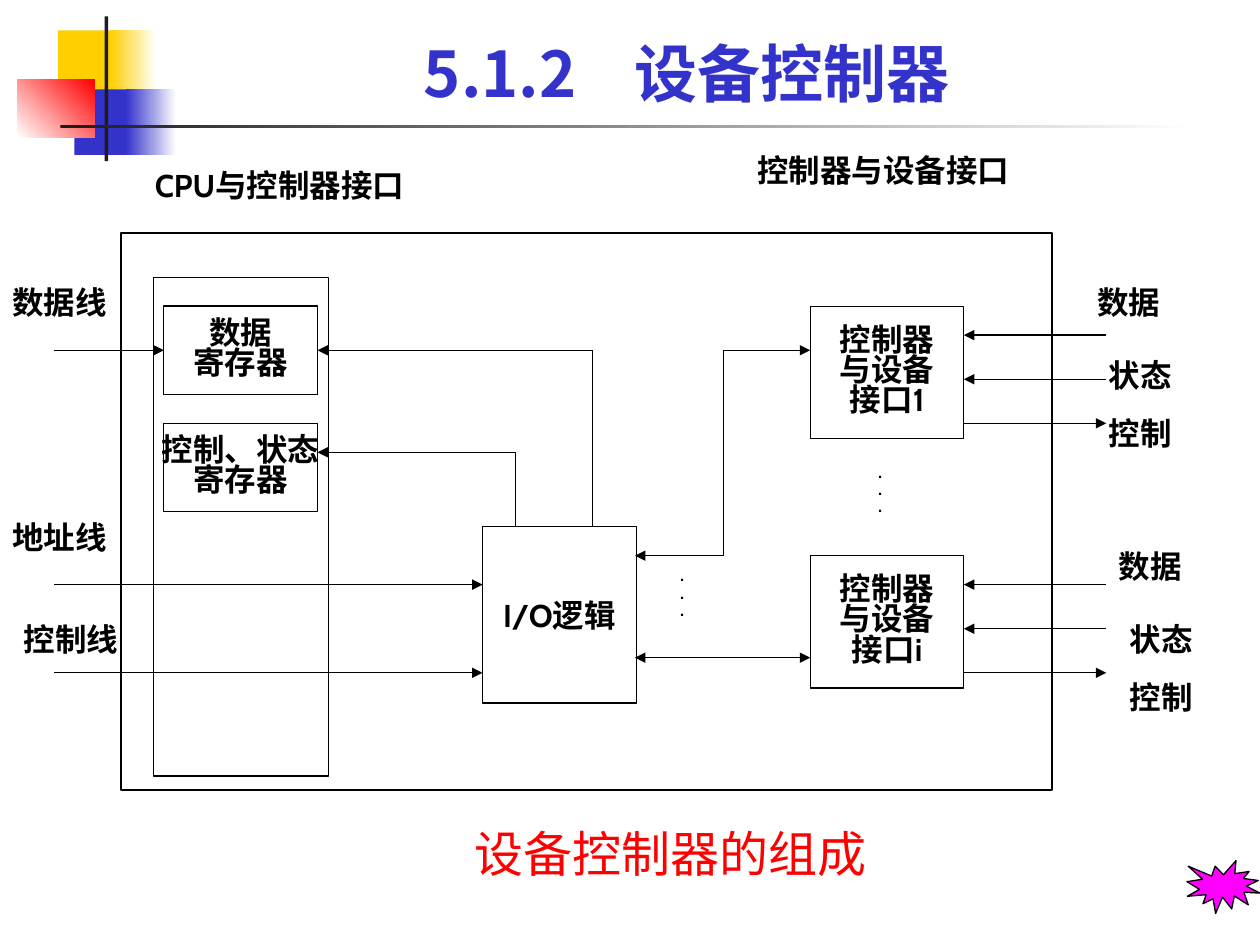
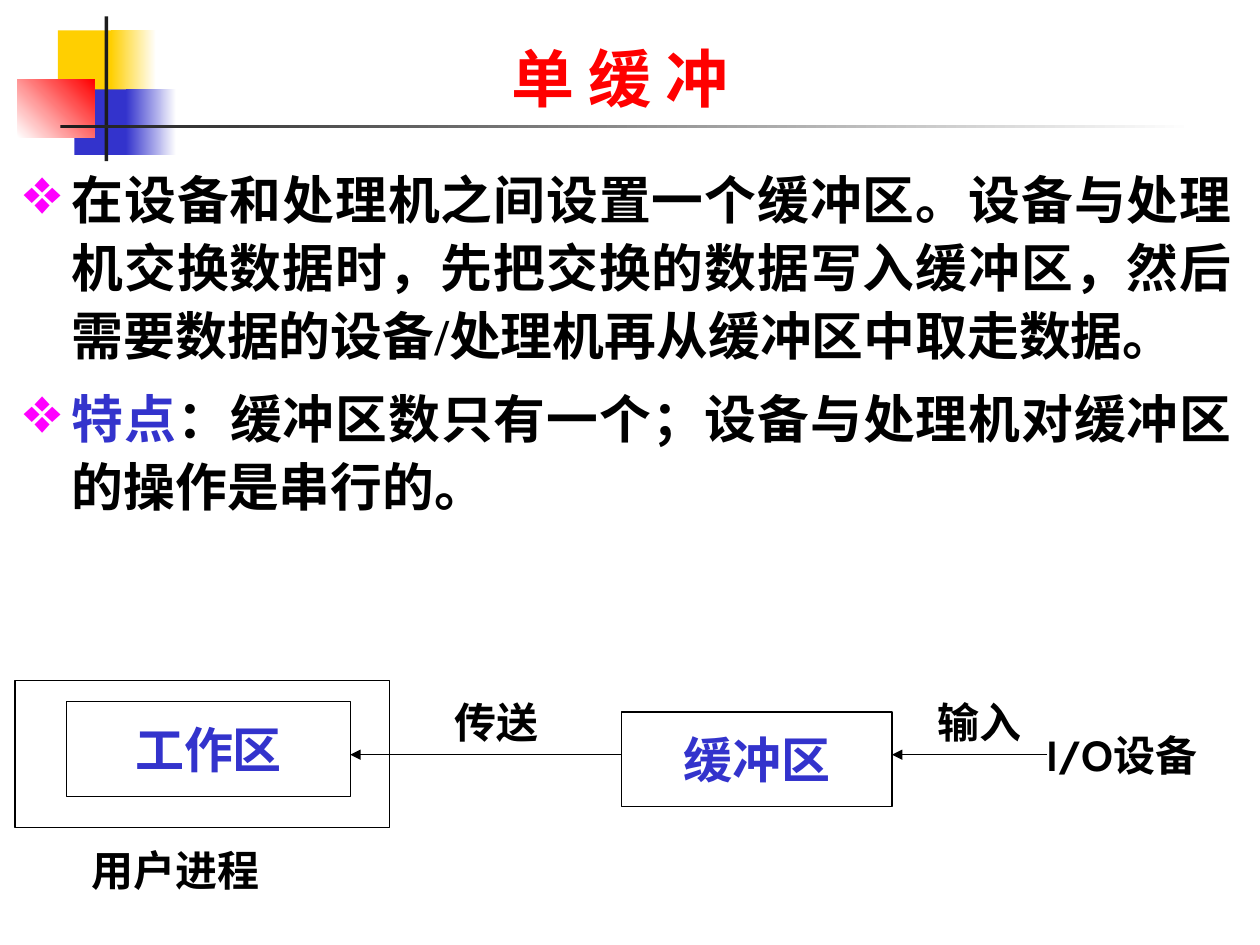
"""Build two slides on device controllers and single buffering."""
from dataclasses import dataclass

from lxml import etree
from pptx import Presentation
from pptx.dml.color import RGBColor
from pptx.enum.shapes import MSO_CONNECTOR, MSO_SHAPE
from pptx.enum.text import MSO_ANCHOR, PP_ALIGN
from pptx.oxml.ns import qn
from pptx.util import Inches, Pt

RECT, BURST = MSO_SHAPE.RECTANGLE, MSO_SHAPE.EXPLOSION1
STRAIGHT = MSO_CONNECTOR.STRAIGHT
LEFT, CENTER, JUSTIFY = PP_ALIGN.LEFT, PP_ALIGN.CENTER, PP_ALIGN.JUSTIFY
TOP, MIDDLE, BOTTOM = MSO_ANCHOR.TOP, MSO_ANCHOR.MIDDLE, MSO_ANCHOR.BOTTOM


@dataclass(frozen=True)
class Theme:
    black: str = "000000"
    white: str = "FFFFFF"
    dark: str = "1C1C1C"
    blue: str = "3333CC"
    red: str = "FF0000"
    yellow: str = "FFCF01"
    magenta: str = "FF00FF"
    font: str = "Cabin"
    serif: str = "Times New Roman"
    cjk: str = "Noto Sans CJK SC"
    title: float = 36
    body: float = 29.6
    big: float = 28
    medium: float = 24
    label: float = 18
    dot: float = 10
    line: float = 0.75


T = Theme()

BANDS = [
    (0.46, 0.24, 0.48, 0.52, (T.yellow,), 0),
    (0.88, 0.24, 0.36, 0.52, (T.yellow, T.white), 0),
    (0.59, 0.71, 0.46, 0.52, (T.blue,), 0),
    (1, 0.71, 0.4, 0.52, (T.blue, T.white), 0),
    (0.14, 0.63, 0.61, 0.46, (T.white, T.red), 45),
    (0.83, 0.13, 0.03, 1.15, (T.dark,), 0),
    (0.48, 0.99, 9, 0.03, (T.dark, T.white), 0),
]

CONTROLLER_BOXES = [
    (0.96, 1.85, 7.39, 4.42, [], 1),
    (1.22, 2.2, 1.39, 3.96, [], 1),
    (1.3, 2.43, 1.22, 0.7, ["数据", "寄存器"], 0.8),
    (1.3, 3.36, 1.22, 0.7, ["控制、状态", "寄存器"], 0.8),
    (3.83, 4.18, 1.22, 1.4, ["I/O逻辑"], 1),
    (6.43, 2.43, 1.22, 1.05, ["控制器", "与设备", "接口1"], 0.8),
    (6.43, 4.41, 1.22, 1.05, ["控制器", "与设备", "接口i"], 0.8),
]
CONTROLLER_LABELS = [
    (1.13, 1.27, 3.22, "CPU与控制器接口"),
    (5.91, 1.15, 2.35, "控制器与设备接口"),
    (0, 2.2, 1.13, "数据线"),
    (0, 4.06, 1.13, "地址线"),
    (0.09, 4.87, 1.13, "控制线"),
]
CONTROLLER_LINES = [
    (0.43, 2.78, 1.3, 2.78, "tail"),
    (0.43, 4.64, 3.83, 4.64, "tail"),
    (0.43, 5.34, 3.83, 5.34, "tail"),
    (4.09, 3.59, 2.52, 3.59, "tail"),
    (4.09, 3.59, 4.09, 4.18, ""),
    (4.7, 2.78, 2.52, 2.78, "tail"),
    (4.7, 2.78, 4.7, 4.18, ""),
    (5.74, 2.78, 5.74, 4.41, ""),
    (5.74, 2.78, 6.43, 2.78, "tail"),
    (5.74, 4.41, 5.04, 4.41, "tail"),
    (5.04, 5.22, 6.43, 5.22, "head tail"),
]
SIGNALS = [("数据", 0, 0), ("状态", 0.09, 0.58), ("控制", 0.09, 1.04)]
SIGNAL_GROUPS = [(2.66, 8.61, 2.2), (4.64, 8.78, 4.29)]
SIGNAL_GAP, PORT_X, DEVICE_X = 0.35, 7.65, 8.78
DOTS = [(5.3, 4.53), (6.87, 3.71)]

BUFFER_TEXT = [
    [("在设备和处理机之间设置一个缓冲区。设备与处理机交换数据时，先把交换的数据写入缓冲区，"
      "然后需要数据的设备/处理机再从缓冲区中取走数据。", T.black)],
    [("特点", T.blue), ("：缓冲区数只有一个；设备与处理机对缓冲区的操作是串行的。", T.black)],
]
BUFFER_BOXES = [
    (0.12, 5.4, 2.97, 1.17, []),
    (0.53, 5.57, 2.25, 0.75, ["工作区"]),
    (4.93, 5.65, 2.15, 0.75, ["缓冲区"]),
]
BUFFER_LABELS = [
    (0.63, 6.65, 1.84, "用户进程"),
    (3.51, 5.48, 1.33, "传送"),
    (7.34, 5.48, 1.13, "输入"),
    (8.21, 5.74, 1.64, "I/O设备"),
]
BUFFER_LINES = [(4.93, 5.99, 2.78, 5.99, "tail"), (8.31, 5.99, 7.08, 5.99, "tail")]


def rgb(color):
    return RGBColor.from_string(color)


def add_run(p, text, size, color=T.black, bold=True, font=T.font, cjk=T.font):
    r = p.add_run()
    r.text = text
    r.font.size, r.font.bold, r.font.name = Pt(size), bold, font
    r.font.color.rgb = rgb(color)
    etree.SubElement(r.font._element, qn("a:ea")).set("typeface", cjk)
    return r


def add_paragraphs(tf, count, align=LEFT, spacing=1, before=0):
    for i in range(count):
        p = tf.add_paragraph() if i else tf.paragraphs[0]
        p.alignment, p.line_spacing, p.space_before = align, spacing, Pt(before)
        yield p


def add_text(s, x, y, w, h, anchor=TOP):
    tf = s.shapes.add_textbox(*map(Inches, (x, y, w, h))).text_frame
    tf.word_wrap, tf.vertical_anchor = True, anchor
    return tf


def add_label(s, x, y, w, text, size, h=0.4, color=T.black, bold=True):
    add_run(add_text(s, x, y, w, h).paragraphs[0], text, size, color, bold)


def add_shape(s, x, y, w, h, colors, kind=RECT, angle=0, outline=True):
    sp = s.shapes.add_shape(kind, *map(Inches, (x, y, w, h)))
    sp.shadow.inherit = False
    if len(colors) == 1:
        sp.fill.solid()
        sp.fill.fore_color.rgb = rgb(colors[0])
    else:
        sp.fill.gradient()
        sp.fill.gradient_angle = angle
        for stop, color in zip(sp.fill.gradient_stops, colors):
            stop.color.rgb = rgb(color)
    if outline:
        sp.line.color.rgb, sp.line.width = rgb(T.black), Pt(T.line)
    else:
        sp.line.fill.background()
    return sp


def add_box(s, x, y, w, h, lines, size, color=T.black, spacing=1):
    tf = add_shape(s, x, y, w, h, (T.white,)).text_frame
    tf.word_wrap, tf.vertical_anchor = False, MIDDLE
    for p, text in zip(add_paragraphs(tf, len(lines), CENTER, spacing), lines):
        add_run(p, text, size, color)


def add_line(s, x1, y1, x2, y2, ends):
    cn = s.shapes.add_connector(STRAIGHT, *map(Inches, (x1, y1, x2, y2)))
    cn.line.color.rgb, cn.line.width = rgb(T.black), Pt(T.line)
    for end in ends.split():
        etree.SubElement(cn.line._ln, qn(f"a:{end}End")).set("type", "triangle")
    etree.SubElement(cn._element.spPr, qn("a:effectLst"))


def add_bullet(p, char, color, percent, indent):
    pPr = p._p.get_or_add_pPr()
    pPr.set("marL", str(Inches(indent)))
    pPr.set("indent", str(-Inches(indent)))
    fill = etree.SubElement(pPr, qn("a:buClr"))
    etree.SubElement(fill, qn("a:srgbClr")).set("val", color)
    etree.SubElement(pPr, qn("a:buSzPct")).set("val", str(percent * 1000))
    etree.SubElement(pPr, qn("a:buChar")).set("char", char)


def add_slide(prs):
    s = prs.slides.add_slide(prs.slide_layouts[6])
    for x, y, w, h, colors, angle in BANDS:
        add_shape(s, x, y, w, h, colors, angle=angle, outline=False)
    return s


def add_title(s, x, y, w, h, parts, color, font):
    p = add_text(s, x, y, w, h, BOTTOM).paragraphs[0]
    p.alignment = CENTER
    for text, tracking in parts:
        r = add_run(p, text, T.title, color, font=font, cjk=T.cjk)
        if tracking:
            r.font._element.set("spc", str(tracking * 100))


def controller_slide(prs):
    s = add_slide(prs)
    add_title(s, 1.58, 0.13, 7.74, 0.79,
              [("5.1.2", 0), (" ", 25), ("设备控制器", 0)], T.blue, T.cjk)
    for x, y, w, h, lines, spacing in CONTROLLER_BOXES:
        add_box(s, x, y, w, h, lines, T.label, spacing=spacing)
    for x, y, w, text in CONTROLLER_LABELS:
        add_label(s, x, y, w, text, T.label)
    for line in CONTROLLER_LINES:
        add_line(s, *line)
    for line_y, label_x, label_y in SIGNAL_GROUPS:
        for i, (text, dx, dy) in enumerate(SIGNALS):
            y = line_y + i * SIGNAL_GAP
            start, stop = (PORT_X, DEVICE_X) if text == "控制" else (DEVICE_X, PORT_X)
            add_line(s, start, y, stop, y, "tail")
            add_label(s, label_x + dx, label_y + dy, 1.13, text, T.label)
    for x, y in DOTS:
        for p in add_paragraphs(add_text(s, x, y, 0.35, 0.43), 3, spacing=0.3, before=6.2):
            add_run(p, ".", T.dot)
    add_shape(s, 9.42, 6.83, 0.58, 0.42, (T.magenta,), BURST)
    add_label(s, 3.67, 6.49, 3.5, "设备控制器的组成", T.big, 0.57, T.red, False)


def buffer_slide(prs):
    s = add_slide(prs)
    add_title(s, 1.3, 0.13, 7.24, 0.83, [("单 缓 冲", 0)], T.red, T.serif)
    tf = add_text(s, 0.09, 1.23, 9.79, 3.4)
    for p, runs in zip(add_paragraphs(tf, len(BUFFER_TEXT), JUSTIFY, 1.1, 8), BUFFER_TEXT):
        add_bullet(p, "❖", T.magenta, 125, 0.38)
        for text, color in runs:
            add_run(p, text, T.body, color, font=T.serif)
    for x, y, w, h, lines in BUFFER_BOXES:
        add_box(s, x, y, w, h, lines, T.big, T.blue)
    for x, y, w, text in BUFFER_LABELS:
        add_label(s, x, y, w, text, T.medium, 0.5)
    for line in BUFFER_LINES:
        add_line(s, *line)


def main():
    prs = Presentation()
    prs.slide_width, prs.slide_height = Inches(10), Inches(7.5)
    controller_slide(prs)
    buffer_slide(prs)
    prs.save("out.pptx")


if __name__ == "__main__":
    main()
